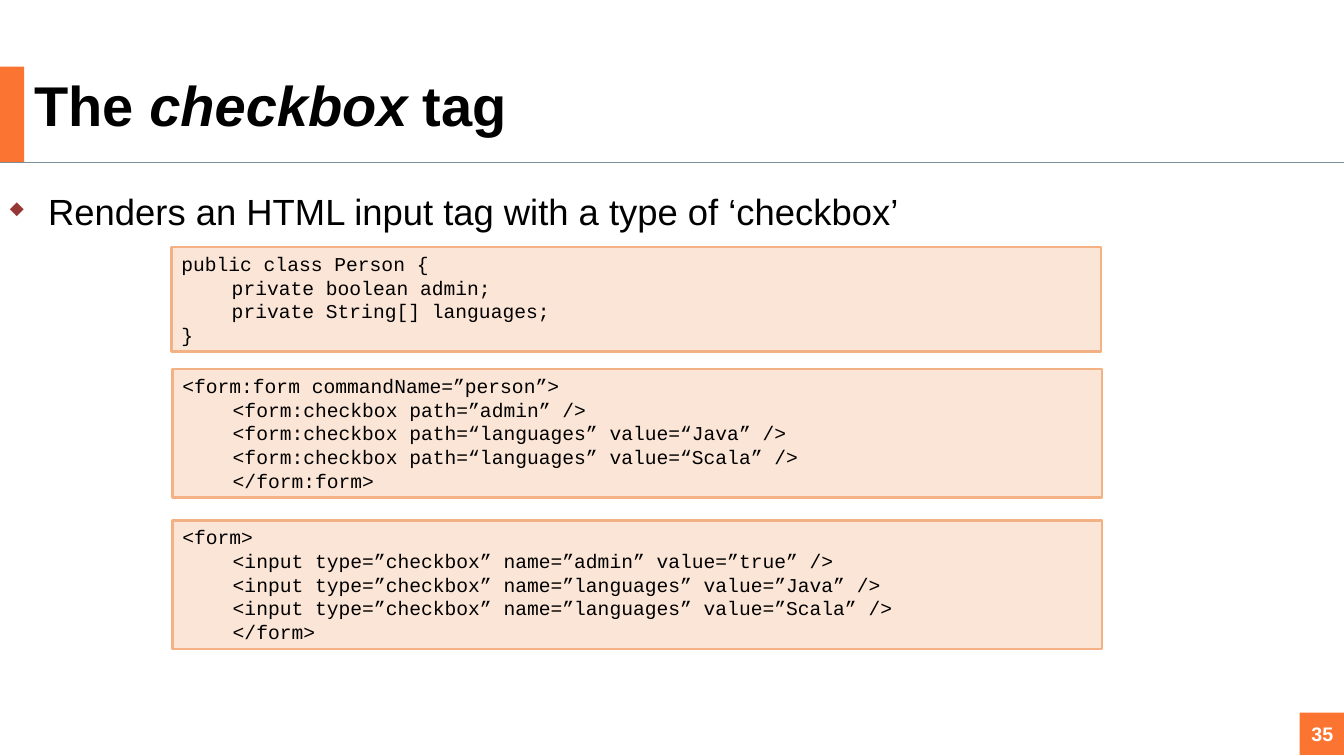
from pptx import Presentation
from pptx.dml.color import RGBColor
from pptx.enum.shapes import MSO_CONNECTOR, MSO_SHAPE
from pptx.enum.text import MSO_ANCHOR, PP_ALIGN
from pptx.oxml.ns import qn
from pptx.util import Inches, Pt
from lxml.etree import SubElement

# Content
TITLE = [("The ", False), ("checkbox", True), (" tag", False)]
POINT = "Renders an HTML input tag with a type of ‘checkbox’"
PAGE = "35"
# Each code box: left, top, height, lines as (indent level, text)
CODE = [
    (1.71, 3.66, 1.28, [
        (0, "<form:form commandName=”person”>"),
        (1, "<form:checkbox path=”admin” />"),
        (1, "<form:checkbox path=“languages” value=“Java” />"),
        (1, "<form:checkbox path=“languages” value=“Scala” />"),
        (1, "</form:form>")]),
    (1.71, 5.16, 1.28, [
        (0, "<form>"),
        (1, "<input type=”checkbox” name=”admin” value=”true” />"),
        (1, "<input type=”checkbox” name=”languages” value=”Java” />"),
        (1, "<input type=”checkbox” name=”languages” value=”Scala” />"),
        (1, "</form>")]),
    (1.7, 2.45, 1.04, [
        (0, "public class Person {"),
        (0, "\tprivate boolean admin;"),
        (0, "\tprivate String[] languages;"),
        (0, "}")]),
]

# Formats
WIDE, HIGH = 13.33, 7.5
RULE = 1.61
ORANGE, PEACH, EDGE, GREY = "FB7432", "FBE5D6", "F4B183", "7F8F99"
HEAD = {"name": "Arial", "size": Pt(40), "bold": True}
BODY = {"name": "Arial", "size": Pt(26)}
MONO = {"name": "Courier New", "size": Pt(14)}
NUM = {"name": "Arial", "size": Pt(14), "bold": True}


def rgb(code):
    return RGBColor.from_string(code)


def style(font, form, color="000000"):
    for key, value in form.items():
        setattr(font, key, value)
    font.color.rgb = rgb(color)


def place(left, top, width, height):
    return [Inches(n) for n in (left, top, width, height)]


def box(spot, fill, edge=None):
    shape = slide.shapes.add_shape(MSO_SHAPE.RECTANGLE, *place(*spot))
    shape.shadow.inherit = False
    shape.fill.solid()
    shape.fill.fore_color.rgb = rgb(fill)
    if edge:
        shape.line.color.rgb = rgb(edge)
        shape.line.width = Pt(2)
    else:
        shape.line.fill.background()
    return shape


deck = Presentation()
deck.slide_width, deck.slide_height = Inches(WIDE), Inches(HIGH)
slide = deck.slides.add_slide(deck.slide_layouts[5])

# Accent bar and rule
box((0, RULE - 0.95, 0.24, 0.95), ORANGE)
rule = slide.shapes.add_connector(
    MSO_CONNECTOR.STRAIGHT, 0, Inches(RULE), Inches(WIDE), Inches(RULE))
rule.line.color.rgb = rgb(GREY)
rule.line.width = Pt(0.75)
SubElement(rule.element.spPr, qn("a:effectLst"))

# Title
title = slide.shapes.title
title.left, title.top, title.width, title.height = place(0.24, 0.72, 12.21, 0.71)
title.text_frame.vertical_anchor = MSO_ANCHOR.MIDDLE
para = title.text_frame.paragraphs[0]
para.alignment, para.line_spacing = PP_ALIGN.LEFT, 0.9
for text, slant in TITLE:
    run = para.add_run()
    run.text = text
    style(run.font, HEAD | {"italic": slant})

# Bullet point
frame = slide.shapes.add_textbox(*place(0, 1.78, WIDE, 0.65)).text_frame
frame.word_wrap = True
para = frame.paragraphs[0]
para.text = POINT
para.alignment, para.line_spacing = PP_ALIGN.JUSTIFY, 1.1
props = para._p.get_or_add_pPr()
props.set("marL", str(Inches(0.38)))
props.set("indent", str(-Inches(0.38)))
SubElement(SubElement(props, qn("a:buClr")), qn("a:srgbClr"), val="973735")
SubElement(props, qn("a:buSzPct"), val="50000")
SubElement(props, qn("a:buChar"), char="◆")
style(para.runs[0].font, BODY)

# Page number
frame = box((WIDE - 0.44, 7.07, 0.45, 0.42), ORANGE).text_frame
frame.word_wrap = False
para = frame.paragraphs[0]
para.text, para.alignment = PAGE, PP_ALIGN.CENTER
style(para.runs[0].font, NUM, "FFFFFF")

# Code boxes
for left, top, height, lines in CODE:
    frame = box((left, top, 9.22, height), PEACH, EDGE).text_frame
    frame.word_wrap = True
    frame.vertical_anchor = MSO_ANCHOR.TOP
    for i, (level, text) in enumerate(lines):
        para = frame.add_paragraph() if i else frame.paragraphs[0]
        para.text, para.level = text, level
        para.alignment, para.line_spacing = PP_ALIGN.LEFT, Pt(16.9)
        para._p.get_or_add_pPr().set("marL", str(Inches(0.5 * level)))
        style(para.runs[0].font, MONO)

deck.save("out.pptx")
